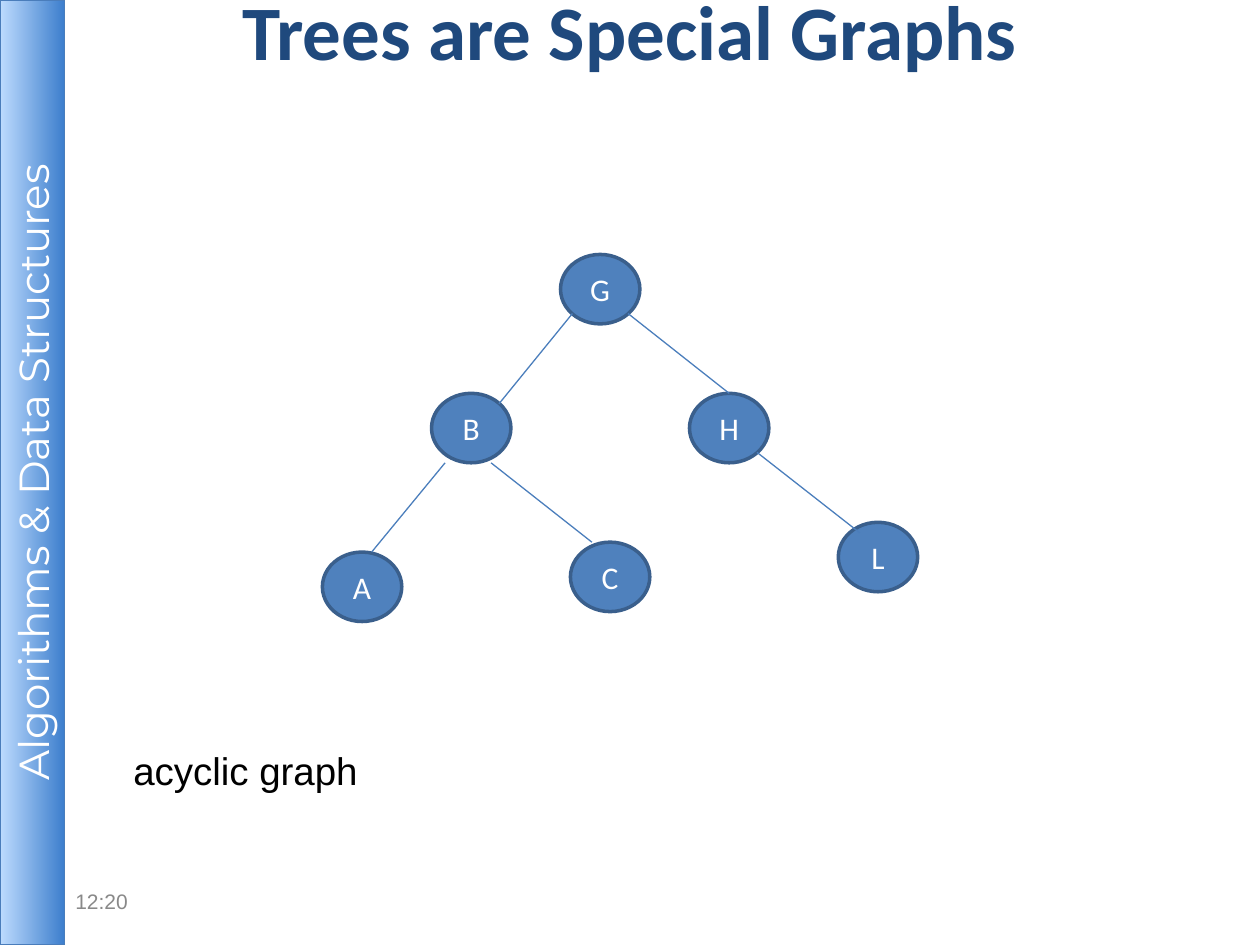
from dataclasses import dataclass

from lxml.etree import SubElement
from pptx import Presentation
from pptx.dml.color import RGBColor
from pptx.enum.shapes import MSO_CONNECTOR, MSO_SHAPE
from pptx.enum.text import MSO_ANCHOR, MSO_AUTO_SIZE, PP_ALIGN
from pptx.oxml.ns import qn
from pptx.util import Cm, Pt


@dataclass(frozen=True)
class Theme:
    heading: str = "1F497D"
    text: str = "000000"
    muted: str = "898989"
    light: str = "FFFFFF"
    node_fill: str = "4F81BD"
    node_line: str = "3A5F8C"
    edge: str = "4B7EBC"
    band_line: str = "4A7DBB"
    band_start: str = "BDDBFE"
    band_end: str = "3E7FCD"
    title_size: int = 44
    band_size: int = 24
    caption_size: int = 22
    node_size: int = 18
    time_size: int = 12
    body_font: str = "Arial"
    heading_font: str = "Calibri"
    band_font: str = "Montserrat"


THEME = Theme()
NODE_WIDTH, NODE_HEIGHT = 1.6, 1.4

# Node offsets within the tree box, in centimetres
NODES = {
    "G": (4.8, 0),
    "B": (2.2, 2.8),
    "H": (7.4, 2.8),
    "A": (0, 6),
    "C": (5, 5.8),
    "L": (10.4, 5.4),
}

# Points on a node, as fractions of its width and height
TOP = (0.5, 0)
TOP_LEFT = (0.27, 0.15)
TOP_RIGHT = (0.85, 0.15)
LOWER_LEFT = (0.15, 0.85)
LOWER_RIGHT = (0.85, 0.85)

EDGES = [
    ("G", LOWER_LEFT, "B", TOP_RIGHT),
    ("G", LOWER_RIGHT, "H", TOP),
    ("B", (0.17, 1), "A", (0.62, 0)),
    ("B", (0.75, 1), "C", (0.27, 0)),
    ("H", LOWER_RIGHT, "L", TOP_LEFT),
]


def color(value):
    return RGBColor.from_string(value)


def write(shape, text, font_name, size, font_color, alignment, bold=False):
    shape.text_frame.text = text
    paragraph = shape.text_frame.paragraphs[0]
    paragraph.alignment = alignment
    font = paragraph.font
    font.name, font.size, font.bold = font_name, Pt(size), bold
    font.color.rgb = color(font_color)


def outline(shape, line_color, width):
    shape.line.color.rgb = color(line_color)
    shape.line.width = Pt(width)


def add_side_band(slide, left, top, width, height):
    band = slide.shapes.add_shape(
        MSO_SHAPE.RECTANGLE, Cm(left), Cm(top), Cm(width), Cm(height))
    band.shadow.inherit = False
    band.fill.gradient()
    band.fill.gradient_angle = 0
    for stop, stop_color in zip(band.fill.gradient_stops,
                                (THEME.band_start, THEME.band_end)):
        stop.color.rgb = color(stop_color)
    outline(band, THEME.band_line, 0.75)
    write(band, "Algorithms & Data Structures", THEME.band_font,
          THEME.band_size, THEME.light, PP_ALIGN.CENTER)
    frame = band.text_frame
    frame.margin_left = frame.margin_right = Cm(0.1)
    frame.margin_top = frame.margin_bottom = Cm(0.1)
    frame.vertical_anchor = MSO_ANCHOR.MIDDLE
    # Text reads from bottom to top
    band.text_frame._txBody.find(qn("a:bodyPr")).set("vert", "vert270")


def add_title(slide, left, top, width, height):
    title = slide.shapes.title
    title.left, title.top = Cm(left), Cm(top)
    title.width, title.height = Cm(width), Cm(height)
    write(title, "Trees are Special Graphs", THEME.heading_font,
          THEME.title_size, THEME.heading, PP_ALIGN.CENTER, bold=True)
    frame = title.text_frame
    frame.auto_size = MSO_AUTO_SIZE.NONE
    frame.vertical_anchor = MSO_ANCHOR.MIDDLE
    # The heading sits in the upper part of its box
    frame.margin_top, frame.margin_bottom = Cm(0), Cm(1.9)


def add_node(slide, label, left, top):
    node = slide.shapes.add_shape(
        MSO_SHAPE.OVAL, Cm(left), Cm(top), Cm(NODE_WIDTH), Cm(NODE_HEIGHT))
    node.shadow.inherit = False
    node.fill.solid()
    node.fill.fore_color.rgb = color(THEME.node_fill)
    outline(node, THEME.node_line, 2)
    write(node, label, THEME.heading_font, THEME.node_size, THEME.light,
          PP_ALIGN.CENTER)
    node.text_frame.vertical_anchor = MSO_ANCHOR.MIDDLE


def add_tree(slide, left, top):
    def point(label, site):
        x, y = NODES[label]
        return (Cm(left + x + site[0] * NODE_WIDTH),
                Cm(top + y + site[1] * NODE_HEIGHT))

    for label, (x, y) in NODES.items():
        add_node(slide, label, left + x, top + y)
    for parent, parent_site, child, child_site in EDGES:
        edge = slide.shapes.add_connector(
            MSO_CONNECTOR.STRAIGHT,
            *point(parent, parent_site), *point(child, child_site))
        outline(edge, THEME.edge, 0.75)
        SubElement(edge._element.spPr, qn("a:effectLst"))


def add_label(slide, text, size, font_color, left, top, width, height,
              anchor=MSO_ANCHOR.TOP, wrap=True):
    label = slide.shapes.add_textbox(Cm(left), Cm(top), Cm(width), Cm(height))
    write(label, text, THEME.body_font, size, font_color, PP_ALIGN.LEFT)
    label.text_frame.word_wrap = wrap
    label.text_frame.vertical_anchor = anchor


def main():
    presentation = Presentation()
    presentation.slide_width, presentation.slide_height = Cm(25.4), Cm(19.05)
    title_only = presentation.slide_layouts[5]
    slide = presentation.slides.add_slide(title_only)

    add_side_band(slide, 0, 0, 1.3, 19.05)
    add_tree(slide, 6.5, 5.13)
    add_title(slide, 1.27, -0.05, 22.86, 3.18)
    # Caption and time
    add_label(slide, "acyclic graph", THEME.caption_size, THEME.text,
              2.44, 14.94, 5.08, 1.19, wrap=False)
    add_label(slide, "12:20", THEME.time_size, THEME.muted,
              1.27, 17.65, 5.92, 1.02, anchor=MSO_ANCHOR.MIDDLE)

    presentation.save("out.pptx")


if __name__ == "__main__":
    main()
